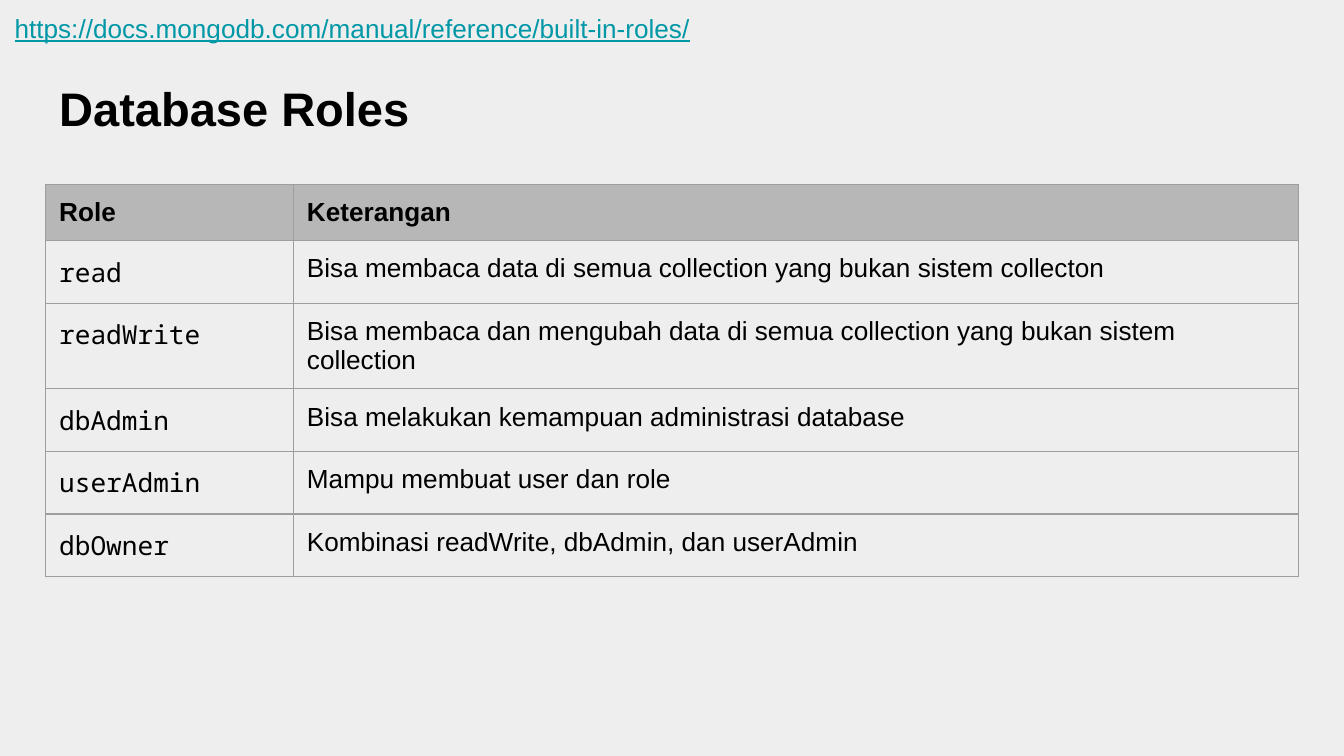
"""Build the Database Roles slide with its table of built-in roles."""
from dataclasses import dataclass

from pptx import Presentation
from pptx.dml.color import RGBColor as Color
from pptx.enum.text import MSO_ANCHOR as Anchor, MSO_AUTO_SIZE as AutoSize, PP_ALIGN as Align
from pptx.oxml import parse_xml
from pptx.oxml.ns import nsdecls
from pptx.util import Pt


@dataclass(frozen=True)
class Theme:
    background: str = "EEEEEE"
    ink: str = "000000"
    link: str = "0097A7"
    header: str = "B7B7B7"
    border: str = "9E9E9E"
    sans: str = "Arial"
    mono: str = "Noto Sans Mono"
    title_size: float = 25.2
    body_size: float = 14
    border_width: float = 0.75
    inset: float = 7.2


ROLES = [
    ("Role", "Keterangan"),
    ("read", "Bisa membaca data di semua collection yang bukan sistem collecton"),
    ("readWrite", "Bisa membaca dan mengubah data di semua collection yang bukan sistem collection"),
    ("dbAdmin", "Bisa melakukan kemampuan administrasi database"),
    ("userAdmin", "Mampu membuat user dan role"),
    ("dbOwner", "Kombinasi readWrite, dbAdmin, dan userAdmin"),
]


class PageBuilder:
    def __init__(self, page, theme):
        self.page = page
        self.theme = theme
        fill = page.background.fill
        fill.solid()
        fill.fore_color.rgb = Color.from_string(theme.background)

    def style_text(self, frame, size, color, font=None, bold=False, underline=False):
        frame.word_wrap = True
        frame.margin_left = frame.margin_right = Pt(self.theme.inset)
        frame.margin_top = frame.margin_bottom = Pt(self.theme.inset)
        for para in frame.paragraphs:
            para.alignment = Align.LEFT
            for span in para.runs:
                span.font.name = font or self.theme.sans
                span.font.size = Pt(size)
                span.font.bold = bold
                span.font.underline = underline
                span.font.color.rgb = Color.from_string(color)

    def title(self, text, left, top, width, height):
        box = self.page.shapes.title
        box.left, box.top, box.width, box.height = Pt(left), Pt(top), Pt(width), Pt(height)
        frame = box.text_frame
        frame.text = text
        frame.auto_size = AutoSize.NONE
        frame.vertical_anchor = Anchor.TOP
        self.style_text(frame, self.theme.title_size, self.theme.ink, bold=True)

    def address(self, text, left, top, width, height):
        box = self.page.shapes.add_textbox(Pt(left), Pt(top), Pt(width), Pt(height))
        frame = box.text_frame
        frame.text = text
        frame.auto_size = AutoSize.SHAPE_TO_FIT_TEXT
        self.style_text(frame, self.theme.body_size, self.theme.link, underline=True)

    def table(self, rows, left, top, column_widths, row_height):
        frame = self.page.shapes.add_table(
            len(rows), len(column_widths), Pt(left), Pt(top),
            Pt(sum(column_widths)), Pt(row_height * len(rows)))
        table = frame.table
        table.first_row = table.horz_banding = False
        for column, width in zip(table.columns, column_widths):
            column.width = Pt(width)
        for row_index, row in enumerate(rows):
            table.rows[row_index].height = Pt(row_height)
            for column_index, text in enumerate(row):
                self.cell(table.cell(row_index, column_index), text,
                          header=row_index == 0, code=row_index > 0 and column_index == 0)

    def cell(self, cell, text, header, code):
        theme = self.theme
        cell.text_frame.text = text
        self.style_text(cell.text_frame, theme.body_size, theme.ink,
                        font=theme.mono if code else theme.sans, bold=header)
        cell.margin_left = cell.margin_right = Pt(theme.inset)
        cell.margin_top = cell.margin_bottom = Pt(theme.inset)
        cell.vertical_anchor = Anchor.TOP
        self.borders(cell)
        if header:
            cell.fill.solid()
            cell.fill.fore_color.rgb = Color.from_string(theme.header)
        else:
            cell.fill.background()

    def borders(self, cell):
        properties = cell._tc.get_or_add_tcPr()
        for side in ("lnL", "lnR", "lnT", "lnB"):
            properties.append(parse_xml(
                f'<a:{side} {nsdecls("a")} w="{Pt(self.theme.border_width)}">'
                f'<a:solidFill><a:srgbClr val="{self.theme.border}"/></a:solidFill>'
                f'</a:{side}>'))


def main():
    deck = Presentation()
    deck.slide_width, deck.slide_height = Pt(720), Pt(405)
    page = deck.slides.add_slide(deck.slide_layouts[5])
    builder = PageBuilder(page, Theme())
    builder.title("Database Roles", 24.5, 35.5, 671, 45)
    builder.table(ROLES, 24.5, 98.75, (132.75, 538.25), 29.5)
    builder.address("https://docs.mongodb.com/manual/reference/built-in-roles/", 0.75, -0.75, 720, 31.5)
    deck.save("out.pptx")


if __name__ == "__main__":
    main()
